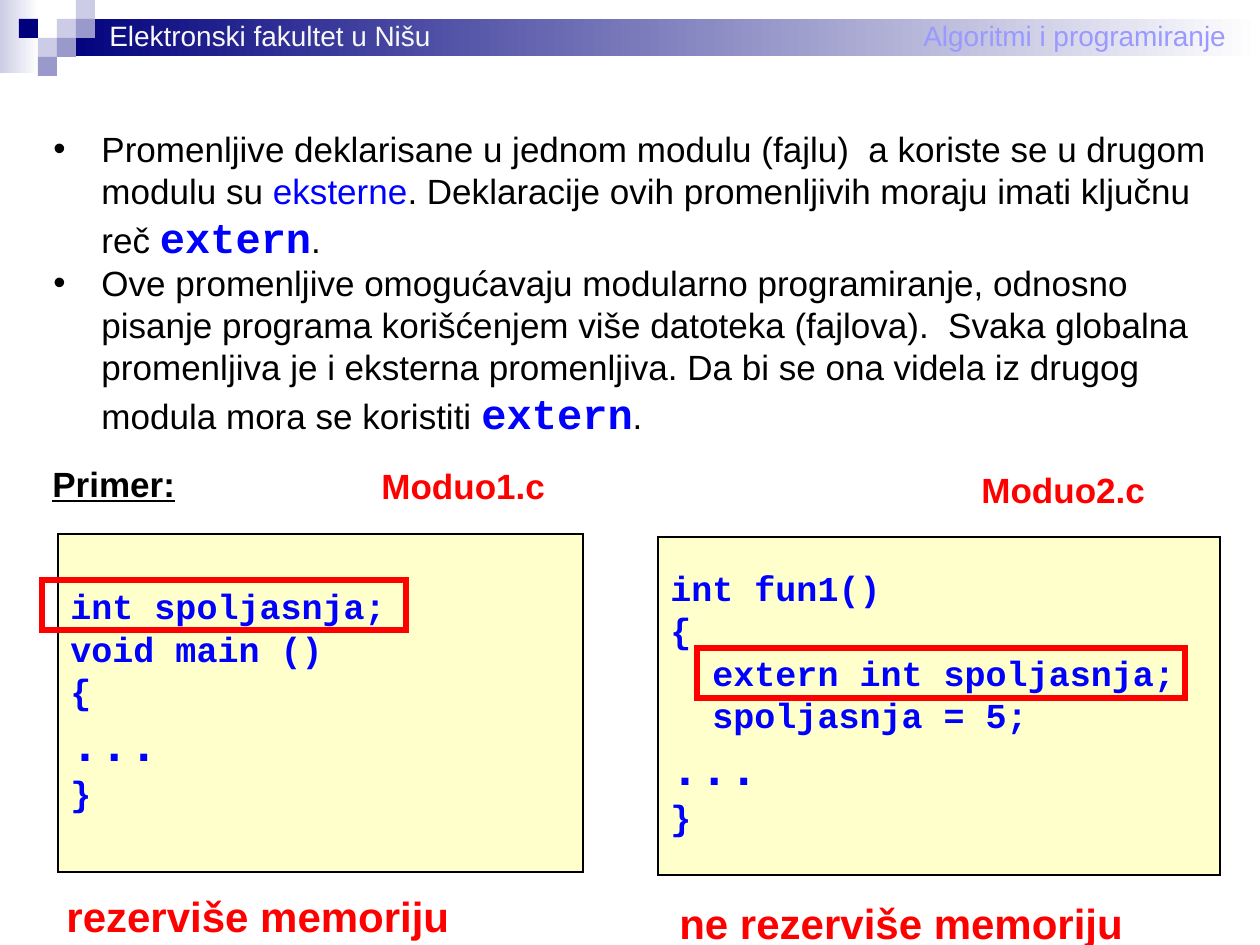
from lxml import etree
from pptx import Presentation
from pptx import util as u
from pptx.dml.color import RGBColor
from pptx.enum import shapes, text
from pptx.oxml import ns

PX_PER_INCH = 126
NAVY = RGBColor(0x00, 0x00, 0x7D)
SLATE = RGBColor(0x99, 0x99, 0xCC)
MIST = RGBColor(0xCC, 0xCC, 0xE6)
LILAC = RGBColor(0x99, 0x99, 0xFF)
PALE = RGBColor(0xF8, 0xF8, 0xF8)
WHITE = RGBColor(0xFF, 0xFF, 0xFF)
BLACK = RGBColor(0x00, 0x00, 0x00)
BLUE = RGBColor(0x00, 0x00, 0xFF)
RED = RGBColor(0xFF, 0x00, 0x00)
CREAM = RGBColor(0xFF, 0xFF, 0xCC)


def px(length):
    return u.Emu(round(length * u.Inches(1) / PX_PER_INCH))


class SlideBuilder:
    sans = "Arial"
    mono = "Courier New"
    body_size = 20
    keyword_size = 24
    indent = 48

    def __init__(self, slide):
        self.slide = slide

    def style(self, font, size, color, bold=False, name=None):
        font.name = name or self.sans
        font.size = u.Pt(size)
        font.color.rgb = color
        font.bold = bold

    def rect(self, x, y, w, h, fill=None, line=None, line_width=0.75):
        shape = self.slide.shapes.add_shape(
            shapes.MSO_SHAPE.RECTANGLE, px(x), px(y), px(w), px(h))
        shape.shadow.inherit = False
        if fill is None:
            shape.fill.background()
        else:
            shape.fill.solid()
            shape.fill.fore_color.rgb = fill
        if line is None:
            shape.line.fill.background()
        else:
            shape.line.color.rgb = line
            shape.line.width = u.Pt(line_width)
            outline = shape._element.spPr.find(ns.qn("a:ln"))
            etree.SubElement(outline, ns.qn("a:miter")).set("lim", "800000")
        return shape

    def fade(self, x, y, w, h, start, end):
        band = self.rect(x, y, w, h)
        band.fill.gradient()
        band.fill.gradient_angle = 0
        for stop, color in zip(band.fill.gradient_stops, (start, end)):
            stop.color.rgb = color

    def label(self, x, y, w, h, words, size, color, bold=False, underline=False):
        box = self.slide.shapes.add_textbox(px(x), px(y), px(w), px(h))
        box.text_frame.word_wrap = False
        paragraph = box.text_frame.paragraphs[0]
        paragraph.text = words
        self.style(paragraph.font, size, color, bold)
        paragraph.font.underline = underline

    def bullets(self, x, y, w, h, items):
        frame = self.slide.shapes.add_textbox(px(x), px(y), px(w), px(h)).text_frame
        frame.word_wrap = True
        for index, item in enumerate(items):
            paragraph = frame.add_paragraph() if index else frame.paragraphs[0]
            props = paragraph._p.get_or_add_pPr()
            props.set("marL", str(px(self.indent)))
            props.set("indent", str(-px(self.indent)))
            bullet_color = etree.SubElement(props, ns.qn("a:buClr"))
            etree.SubElement(bullet_color, ns.qn("a:srgbClr")).set("val", str(BLACK))
            etree.SubElement(props, ns.qn("a:buFont")).set("typeface", self.sans)
            etree.SubElement(props, ns.qn("a:buChar")).set("char", "•")
            self.style(paragraph.font, self.body_size, BLACK)
            for words, kind in item:
                run = paragraph.add_run()
                run.text = words
                if kind == "keyword":
                    self.style(run.font, self.keyword_size, BLUE, True, self.mono)
                else:
                    color = BLUE if kind == "term" else BLACK
                    self.style(run.font, self.body_size, color)

    def code(self, x, y, w, h, lines):
        frame = self.rect(x, y, w, h, CREAM, BLACK).text_frame
        frame.word_wrap = True
        frame.vertical_anchor = text.MSO_ANCHOR.MIDDLE
        for index, line in enumerate(lines):
            paragraph = frame.add_paragraph() if index else frame.paragraphs[0]
            size = 28 if line == "..." else self.body_size
            paragraph.text = line
            paragraph.alignment = text.PP_ALIGN.LEFT
            paragraph.line_spacing = 0.8
            if index:
                paragraph.space_before = u.Pt(0.25 * size)
            self.style(paragraph.font, size, BLUE, True, self.mono)

    def highlight(self, x, y, w, h):
        self.rect(x, y, w, h, line=RED, line_width=3)


def main():
    prs = Presentation()
    prs.slide_width = px(1260)
    prs.slide_height = px(945)
    page = SlideBuilder(prs.slides.add_slide(prs.slide_layouts[6]))

    page.fade(0, 0, 39, 73, MIST, WHITE)
    page.fade(57, 19, 1203, 37, NAVY, WHITE)
    tile = 19
    for column, row, color in (
        (3, 1, MIST), (4, 0, MIST), (4, 1, SLATE), (2, 2, MIST),
        (1, 1, NAVY), (3, 2, SLATE), (2, 3, SLATE),
    ):
        page.rect(column * tile, row * tile, tile, tile, color)
    page.label(911, 12, 328, 47, "Algoritmi i programiranje", 16, LILAC)
    page.label(97, 12, 347, 47, "Elektronski fakultet u Nišu", 16, PALE)

    page.bullets(41, 121, 1192, 374, (
        (
            ("Promenljive deklarisane u jednom modulu (fajlu)  a koriste se "
             "u drugom modulu su ", "plain"),
            ("eksterne", "term"),
            (". Deklaracije ovih promenljivih moraju imati ključnu reč ", "plain"),
            ("extern", "keyword"),
            (".", "plain"),
        ),
        (
            ("Ove promenljive omogućavaju modularno programiranje, odnosno "
             "pisanje programa korišćenjem više datoteka (fajlova).  Svaka "
             "globalna promenljiva je i eksterna promenljiva. Da bi se ona "
             "videla iz drugog modula mora se koristiti ", "plain"),
            ("extern", "keyword"),
            (".", "plain"),
        ),
    ))

    page.label(40, 456, 160, 55, "Primer:", 20, BLACK, bold=True, underline=True)
    page.code(58, 534, 525, 338, (
        "int spoljasnja;", "void main ()", "{", "...", "}"))
    page.label(369, 458, 197, 55, "Moduo1.c", 20, RED, bold=True)
    page.code(658, 537, 562, 338, (
        "int fun1()", "{", "  extern int spoljasnja;", "  spoljasnja = 5;",
        "...", "}"))
    page.label(969, 462, 197, 55, "Moduo2.c", 20, RED, bold=True)

    page.label(54, 884, 408, 63, "rezerviše memoriju", 24, RED, bold=True)
    page.label(667, 891, 469, 63, "ne rezerviše memoriju", 24, RED, bold=True)
    page.highlight(42, 580, 364, 50)
    page.highlight(697, 648, 488, 50)

    prs.save("out.pptx")


if __name__ == "__main__":
    main()
